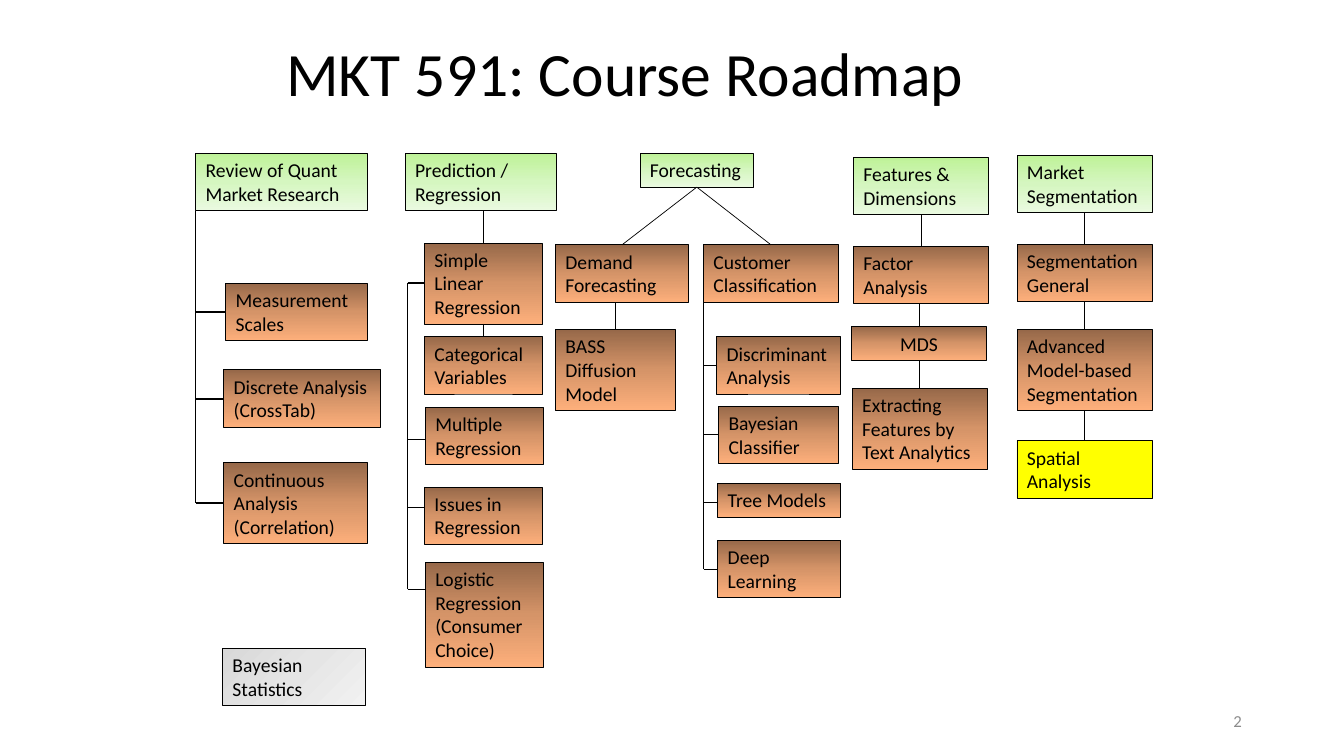
from copy import deepcopy

from lxml import etree
from pptx import Presentation
from pptx.dml.color import RGBColor
from pptx.enum.shapes import MSO_CONNECTOR, MSO_SHAPE
from pptx.enum.text import MSO_ANCHOR, MSO_AUTO_SIZE, PP_ALIGN
from pptx.oxml.ns import qn
from pptx.util import Cm, Pt

BLACK = RGBColor(0x00, 0x00, 0x00)
GREY = RGBColor(0x8C, 0x8C, 0x8C)
YELLOW = (RGBColor(0xFF, 0xFF, 0x00),)
GREEN = (RGBColor(0xBE, 0xF2, 0x97), RGBColor(0xD5, 0xF6, 0xC0), RGBColor(0xEA, 0xFA, 0xE0))
BROWN = (RGBColor(0x96, 0x68, 0x49), RGBColor(0xD5, 0x94, 0x68), RGBColor(0xFD, 0xAF, 0x7B))
SILVER = (RGBColor(0xD8, 0xD8, 0xD8), RGBColor(0xE5, 0xE5, 0xE5), RGBColor(0xF2, 0xF2, 0xF2))


def write(sp, text, size=14, color=BLACK, align=PP_ALIGN.LEFT, anchor=MSO_ANCHOR.TOP,
          spacing=None, autosize=MSO_AUTO_SIZE.NONE):
    tf = sp.text_frame
    tf.word_wrap = True
    tf.auto_size = autosize
    tf.vertical_anchor = anchor
    p = tf.paragraphs[0]
    p.alignment = align
    p.line_spacing = spacing
    r = p.add_run()
    r.text = text
    r.font.size = Pt(size)
    r.font.name = "Calibri"
    r.font.color.rgb = color


def paint(sp, colors, angle):
    """One colour fills solid; three make an even gradient."""
    fill = sp.fill
    if len(colors) == 1:
        fill.solid()
        fill.fore_color.rgb = colors[0]
        return
    fill.gradient()
    fill.gradient_angle = angle
    stops = sp._element.spPr.find(qn("a:gradFill")).find(qn("a:gsLst"))
    stops.insert(1, deepcopy(stops[0]))
    for i, (stop, color) in enumerate(zip(fill.gradient_stops, colors)):
        stop.position = i / 2
        stop.color.rgb = color


def node(s, text, x, y, w, lines, colors=BROWN, angle=270, align=PP_ALIGN.LEFT):
    """Topic box whose height follows its number of text lines."""
    sp = s.shapes.add_shape(MSO_SHAPE.RECTANGLE, Cm(x), Cm(y), Cm(w), Cm(0.26 + 0.595 * lines))
    sp.shadow.inherit = False
    paint(sp, colors, angle)
    sp.line.color.rgb = BLACK
    sp.line.width = Pt(0.5)
    write(sp, text, align=align, autosize=MSO_AUTO_SIZE.SHAPE_TO_FIT_TEXT)
    return sp


def link(s, x1, y1, x2, y2, weight=0.5):
    line = s.shapes.add_connector(MSO_CONNECTOR.STRAIGHT, x1, y1, x2, y2)
    line.line.color.rgb = BLACK
    line.line.width = Pt(weight)
    etree.SubElement(line._element.spPr, qn("a:effectLst"))


def center(sp):
    return sp.left + sp.width // 2


def middle(sp):
    return sp.top + sp.height // 2


def bottom(sp):
    return sp.top + sp.height


def chain(s, x, y, topics):
    """Topics one below the other, each linked to the one above."""
    boxes = []
    for text, dx, dy, w, lines, style in topics:
        boxes.append(node(s, text, x + dx, y + dy, w, lines, **style))
    for upper, lower in zip(boxes, boxes[1:]):
        link(s, center(lower), bottom(upper), center(lower), lower.top)
    return boxes


def hang(s, x, y, spine_top, topics, weight=0.5):
    """Topics on a spine at x; each tick is at its box's middle plus a shift."""
    spine_end = spine_top
    for text, dx, dy, w, lines, shift in topics:
        sp = node(s, text, x + dx, y + dy, w, lines)
        spine_end = middle(sp) + Cm(shift)
        link(s, Cm(x), spine_end, sp.left, spine_end, weight)
    link(s, Cm(x), spine_top, Cm(x), spine_end)


def review(s, x, y):
    head = node(s, "Review of Quant Market Research", x, y, 4.32, 2, GREEN)
    hang(s, x, y, bottom(head), [
        ("Measurement Scales", 0.76, 3.28, 3.56, 2, 0),
        ("Discrete Analysis (CrossTab)", 0.71, 5.46, 3.94, 2, 0),
        ("Continuous Analysis (Correlation)", 0.71, 7.8, 3.61, 3, 0),
    ], weight=1.5)
    node(s, "Bayesian Statistics", x + 0.68, y + 12.47, 3.61, 2, SILVER, 315)


def regression(s, x, y):
    head, simple, categorical = chain(s, x, y, [
        ("Prediction / Regression", 0, 0, 3.81, 2, {"colors": GREEN}),
        ("Simple Linear Regression", 0.49, 2.26, 2.97, 3, {}),
        ("Categorical Variables", 0.49, 4.62, 2.97, 2, {}),
    ])
    spine = x + 0.06
    link(s, Cm(spine), middle(simple), simple.left, middle(simple), 1.5)
    hang(s, spine, y, middle(simple), [
        ("Multiple Regression", 0.45, 6.4, 2.97, 2, 0.08),
        ("Issues in Regression", 0.43, 8.41, 2.97, 2, -0.22),
        ("Logistic Regression (Consumer Choice)", 0.45, 10.31, 2.97, 4, -0.64),
    ])


def forecasting(s, x, y):
    head = node(s, "Forecasting", x + 2.13, y, 2.86, 1, GREEN)
    demand, bass = chain(s, x, y + 2.31, [
        ("Demand Forecasting", 0, 0, 3.35, 2, {}),
        ("BASS Diffusion Model", 0, 2.13, 3.02, 3, {}),
    ])
    customer = node(s, "Customer Classification", x + 3.73, y + 2.31, 3.4, 2)
    for branch in (demand, customer):
        link(s, center(head), bottom(head), center(branch), branch.top)
    hang(s, x + 3.73, y, bottom(customer), [
        ("Discriminant Analysis", 0.33, 4.62, 3.12, 2, 0),
        ("Bayesian Classifier", 0.38, 6.37, 3.02, 2, 0),
        ("Tree Models", 0.36, 8.31, 3.1, 1, 0.05),
        ("Deep Learning", 0.36, 9.75, 3.1, 2, 0),
    ])


def features(s, x, y):
    chain(s, x, y, [
        ("Features & Dimensions", 0, 0, 3.4, 2, {"colors": GREEN}),
        ("Factor Analysis", 0, 2.24, 3.4, 2, {}),
        ("MDS", -0.05, 4.27, 3.4, 1, {"align": PP_ALIGN.CENTER}),
        ("Extracting Features by Text Analytics", -0.03, 5.82, 3.4, 3, {}),
    ])


def segmentation(s, x, y):
    chain(s, x, y, [
        ("Market Segmentation", 0, 0, 3.4, 2, {"colors": GREEN}),
        ("Segmentation General", 0, 2.24, 3.4, 2, {}),
        ("Advanced Model-based Segmentation", 0, 4.39, 3.4, 3, {}),
        ("Spatial Analysis", 0, 7.19, 3.4, 2, {"colors": YELLOW}),
    ])


def heading(s, x, y, w, h):
    title = s.shapes.title
    title.left, title.top, title.width, title.height = Cm(x), Cm(y), Cm(w), Cm(h)
    write(title, "MKT 591: Course Roadmap", size=44, anchor=MSO_ANCHOR.MIDDLE, spacing=0.9)


def page_number(s, x, y, w, h):
    sp = s.shapes.add_textbox(Cm(x), Cm(y), Cm(w), Cm(h))
    write(sp, "2", size=12, color=GREY, align=PP_ALIGN.RIGHT, anchor=MSO_ANCHOR.MIDDLE)


def main():
    prs = Presentation()
    prs.slide_width, prs.slide_height = Cm(33.87), Cm(19.05)
    s = prs.slides.add_slide(prs.slide_layouts[5])
    heading(s, 6.96, 0.08, 18.47, 3.68)
    # Roadmap columns, left to right
    review(s, 4.93, 3.86)
    regression(s, 10.21, 3.86)
    forecasting(s, 14, 3.86)
    features(s, 21.51, 3.96)
    segmentation(s, 25.63, 3.91)
    # Footer
    page_number(s, 23.93, 17.65, 7.62, 1.02)
    prs.save("out.pptx")


if __name__ == "__main__":
    main()
